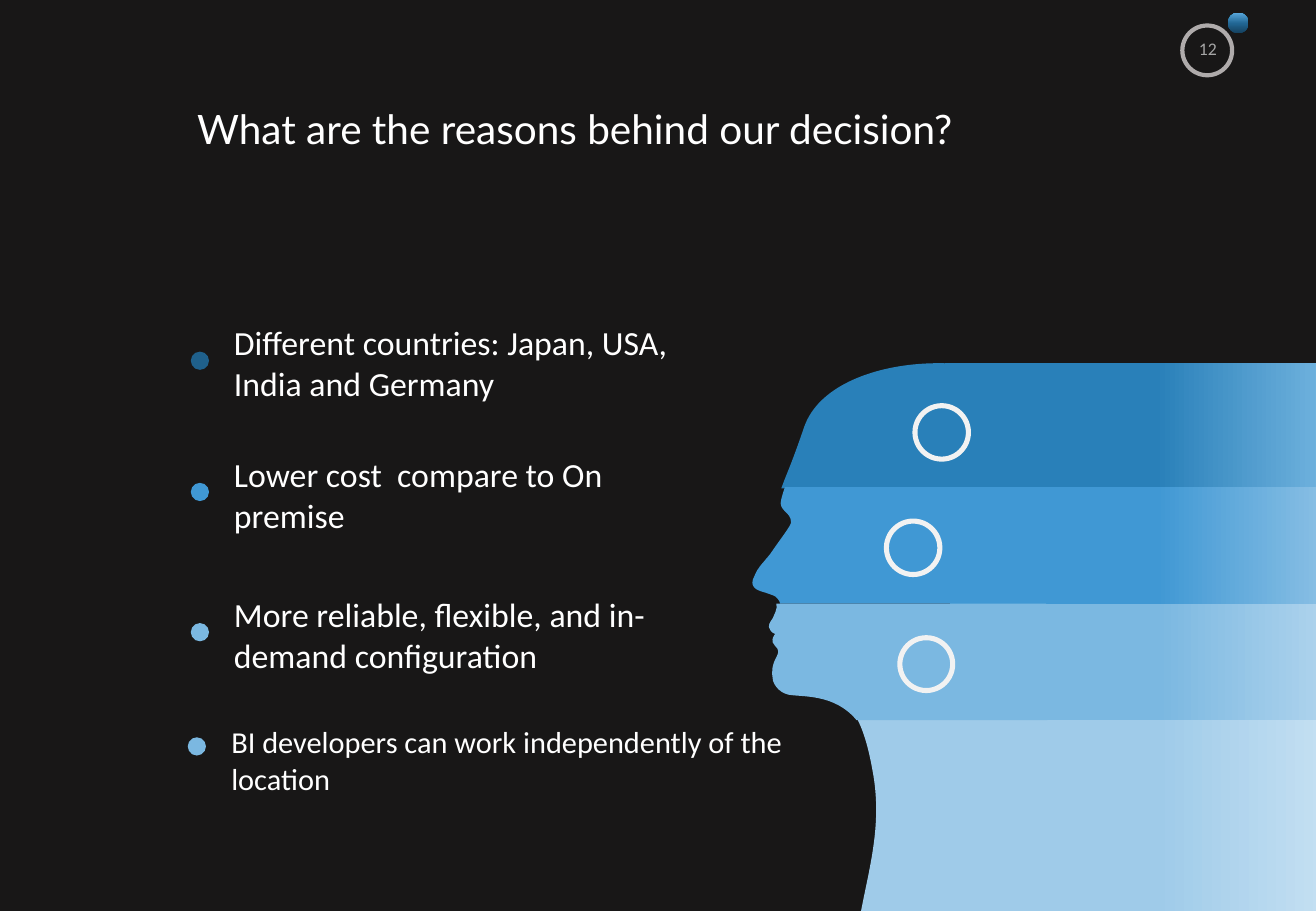
from copy import deepcopy

from lxml import etree
from pptx import Presentation
from pptx.dml.color import RGBColor as RGB
from pptx.enum.shapes import MSO_SHAPE as SHAPE
from pptx.enum.text import MSO_ANCHOR as ANCHOR, MSO_AUTO_SIZE as AUTOSIZE, PP_ALIGN as ALIGN
from pptx.oxml.ns import qn
from pptx.util import Emu, Inches, Pt

CELL = Inches(0.1)
COLS, ROWS = 108.3, 75
COLORS = {
    "night": "181717", "white": "FFFFFF", "ring": "F2F2F2",
    "number_ring": "AFABAB", "number": "A6A6A6",
    "forehead": "2980B9", "forehead_fade": "74B5E0",
    "nose": "4098D4", "nose_fade": "8CC1E5",
    "mouth": "7BB8E1", "mouth_fade": "B0D4ED",
    "neck": "9FCBE9", "neck_fade": "C5E0F2",
    "navy": "15405D", "ocean": "216693", "sky": "58A6DA", "deep": "1F608B",
}


def cells(*counts):
    return [Emu(round(count * CELL)) for count in counts]


def bend(outline, segments):
    corners = iter(list(outline.iter(qn("a:lnTo"))))
    for segment in segments:
        group = [next(corners) for _ in range(len(segment) // 2)]
        if len(group) == 3:
            curve = etree.Element(qn("a:cubicBezTo"))
            group[0].addprevious(curve)
            for corner in group:
                curve.append(corner[0])
                corner.getparent().remove(corner)


prs = Presentation()
prs.slide_width, prs.slide_height = cells(COLS, ROWS)
slide = prs.slides.add_slide(prs.slide_layouts[5])
slide.background.fill.solid()
slide.background.fill.fore_color.rgb = RGB.from_string(COLORS["night"])
shapes = slide.shapes

gradients = [(SHAPE.OVAL, (101.05, 1.05, 1.7, 1.7), 90, [(0, "navy"), (0.48, "ocean"), (1, "sky")])]
for part, area in [
    ("nose", (78.2, 40, 31.4, 10.2)),
    ("mouth", (78.3, 49.75, 31.4, 10.2)),
    ("neck", (78.2, 59.3, 31.4, 16.9)),
    ("forehead", (77.8, 29.9, 32, 10.2)),
]:
    gradients.append((SHAPE.RECTANGLE, area, 180, [(0, part + "_fade"), (0.46, part), (1, part)]))

for outline, area, angle, stops in gradients:
    band = shapes.add_shape(outline, *cells(*area))
    band.shadow.inherit = False
    band.line.fill.background()
    band.fill.gradient()
    band.fill.gradient_angle = angle
    stop_list = band.fill._xPr.find(".//" + qn("a:gsLst"))
    stop_list.append(deepcopy(stop_list[-1]))
    for stop, (position, color) in zip(band.fill.gradient_stops, stops):
        stop.position = position
        stop.color.rgb = RGB.from_string(COLORS[color])

profile = [
    ("neck", (86.2, 59.3), [
        (87.8, 67.2, 91.2, 72, 92.1, 75.9), (70.7, 75.9),
        (71.4, 71.8, 72.7, 68.1, 71.8, 63.4), (71.5, 61.7, 71.1, 60.3, 70.6, 59.3)]),
    ("forehead", (64.3, 40.2), [
        (64.8, 38.8, 65, 38.6, 66.2, 35.1), (68.5, 28.7, 83.1, 28.3, 87.2, 33.4),
        (88.8, 35.5, 89.5, 37.9, 89.5, 40.2)]),
    ("nose", (64.2, 49.7), [
        (64.2, 49.6, 64.1, 49.4, 64, 49.3), (63.8, 49, 63.5, 49, 63, 48.8),
        (62.2, 48.6, 61.6, 48.3, 62.1, 47.4), (62.4, 46.7, 62.5, 46.7, 63.4, 45.6),
        (64.2, 44.4, 65.1, 43.3, 65.1, 43), (65.1, 42.1, 64, 42.1, 64.3, 41.1),
        (64.4, 40.7, 64.5, 40.4, 64.6, 40.1), (89.8, 40.1),
        (89.8, 42.6, 89, 44.9, 87.8, 46.8), (87.3, 47.5, 86.8, 48.4, 86.4, 49.7)]),
    ("mouth", (85.5, 53), [
        (85.2, 55.5, 85.5, 57.5, 86.2, 59.3), (70.5, 59.3),
        (68.7, 57.1, 66, 57.4, 64.9, 57.2), (64, 57, 63.6, 56.2, 63.6, 55.9),
        (63.5, 55.4, 63.5, 54.8, 63.9, 54.1), (64.3, 53.3, 63.8, 53.4, 63.6, 52.9),
        (63.5, 52.6, 63.7, 52.3, 63.8, 52.2), (63.9, 52.2, 63.6, 52.2, 63.4, 51.9),
        (63.1, 51.5, 63.4, 51.2, 63.6, 50.9), (63.7, 50.6, 64, 50.2, 63.9, 49.7),
        (86.1, 49.7), (85.9, 50.6, 85.6, 51.7, 85.5, 53)]),
]
for part, start, segments in profile:
    builder = shapes.build_freeform(*cells(*start))
    builder.add_line_segments(
        [cells(*segment[i:i + 2]) for segment in segments for i in range(0, len(segment), 2)],
        close=True)
    face = builder.convert_to_shape()
    bend(face.element, segments)
    face.shadow.inherit = False
    face.fill.solid()
    face.fill.fore_color.rgb = RGB.from_string(COLORS[part])
    face.line.fill.background()

for left, top, size, color, weight in [
    (97.3, 2.1, 4.1, "number_ring", 2.5),
    (75.3, 33.4, 4.4, "ring", 3),
    (72.95, 42.9, 4.4, "ring", 3),
    (74.05, 52.5, 4.35, "ring", 3),
]:
    ring = shapes.add_shape(SHAPE.OVAL, *cells(left, top, size, size))
    ring.shadow.inherit = False
    ring.fill.background()
    ring.line.color.rgb = RGB.from_string(COLORS[color])
    ring.line.width = Pt(weight)

for left, top, color in [
    (15.7, 28.95, "deep"), (15.7, 39.75, "nose"), (15.7, 51.3, "mouth"), (15.45, 60.7, "mouth"),
]:
    dot = shapes.add_shape(SHAPE.OVAL, *cells(left, top, 1.5, 1.5))
    dot.shadow.inherit = False
    dot.fill.solid()
    dot.fill.fore_color.rgb = RGB.from_string(COLORS[color])
    dot.line.fill.background()

heading = shapes.title
heading.left, heading.top, heading.width, heading.height = cells(12.45, 6.2, 69.7, 6.1)
texts = [(heading, "What are the reasons behind our decision?", "Lato", 24, "white",
          ALIGN.CENTER, ANCHOR.TOP, (0.7, 0.4), 1.5)]
for area, wording, size, color, align, anchor, insets in [
    ((97.55, 2.6, 3.7, 2.8), "12", 10.5, "number", ALIGN.CENTER, ANCHOR.TOP, (1, 0.5)),
    ((18.55, 27.5, 39.5, 4.7), "Different countries: Japan, USA, India and Germany",
     20, "white", ALIGN.LEFT, ANCHOR.MIDDLE, (0.7, 0.4)),
    ((18.55, 38.35, 39.5, 4.7), "Lower cost  compare to On premise",
     20, "white", ALIGN.LEFT, ANCHOR.MIDDLE, (0.7, 0.4)),
    ((18.55, 50, 39.1, 4.5), "More reliable, flexible, and in-demand configuration",
     20, "white", ALIGN.LEFT, ANCHOR.MIDDLE, (0.7, 0.4)),
    ((18.05, 59.05, 54.2, 7.1), "BI developers can work independently of the\nlocation",
     18, "white", ALIGN.LEFT, ANCHOR.TOP, (1, 0.5)),
]:
    reason = shapes.add_textbox(*cells(*area))
    texts.append((reason, wording, "Calibri", size, color, align, anchor, insets, 1))

for holder, wording, font, size, color, align, anchor, insets, spacing in texts:
    frame = holder.text_frame
    frame.text = wording
    side, edge = cells(*insets)
    frame_format = {
        "word_wrap": True, "vertical_anchor": anchor,
        "auto_size": AUTOSIZE.SHAPE_TO_FIT_TEXT if anchor == ANCHOR.TOP else AUTOSIZE.NONE,
        "margin_left": side, "margin_right": side, "margin_top": edge, "margin_bottom": edge,
    }
    for key, value in frame_format.items():
        setattr(frame, key, value)
    for paragraph in frame.paragraphs:
        for key, value in {"alignment": align, "line_spacing": spacing}.items():
            setattr(paragraph, key, value)
        for run in paragraph.runs:
            for key, value in {"name": font, "size": Pt(size)}.items():
                setattr(run.font, key, value)
            run.font.color.rgb = RGB.from_string(COLORS[color])

prs.save("out.pptx")
